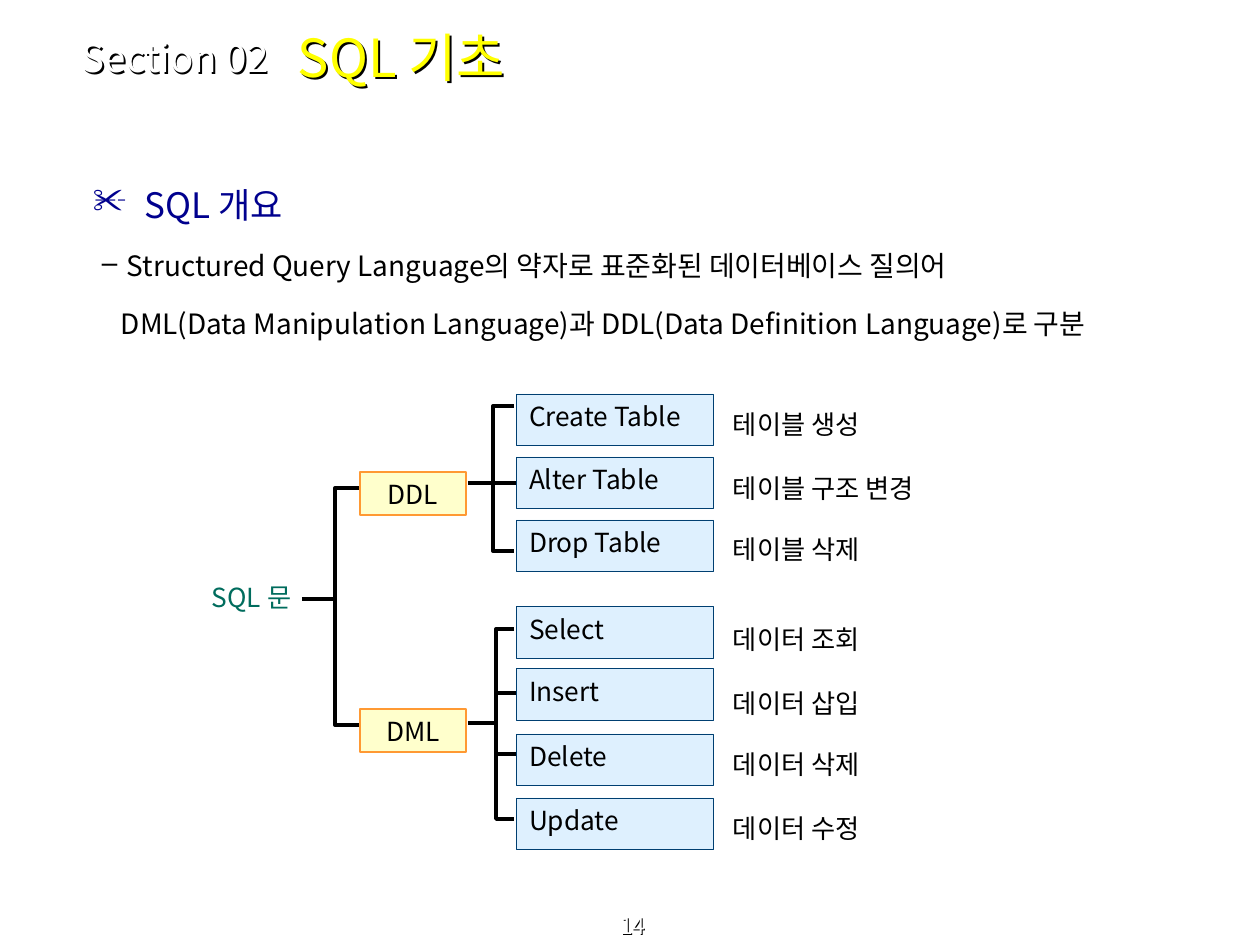
from dataclasses import dataclass
from typing import Optional

from lxml import etree
from pptx import Presentation
from pptx.dml.color import RGBColor
from pptx.enum.shapes import MSO_CONNECTOR, MSO_SHAPE
from pptx.enum.text import MSO_ANCHOR, PP_ALIGN
from pptx.oxml.ns import qn
from pptx.util import Pt

STRAIGHT = MSO_CONNECTOR.STRAIGHT
RECTANGLE = MSO_SHAPE.RECTANGLE
TOP, MIDDLE, BOTTOM = MSO_ANCHOR.TOP, MSO_ANCHOR.MIDDLE, MSO_ANCHOR.BOTTOM
LEFT, CENTER = PP_ALIGN.LEFT, PP_ALIGN.CENTER

FONT = "Noto Sans CJK KR"
WHITE = RGBColor(0xFF, 0xFF, 0xFF)
BLACK = RGBColor(0x00, 0x00, 0x00)
YELLOW = RGBColor(0xFF, 0xFF, 0x00)
NAVY = RGBColor(0x00, 0x00, 0x8E)
GREEN = RGBColor(0x00, 0x6C, 0x5D)
CREAM = RGBColor(0xFF, 0xFF, 0xCC)
ORANGE = RGBColor(0xFF, 0x99, 0x33)
PALE_BLUE = RGBColor(0xDE, 0xF0, 0xFE)
DEEP_BLUE = RGBColor(0x00, 0x3F, 0x71)

EMU_PER_PX = 914400 / 126
SHADOW_EMU_PER_POINT = 700
INSET, INSET_Y = 13, 6
COMMAND_X, COMMAND_W, ROW_H = 516, 198, 52
MEANING_X, MEANING_W = 720, 255
GROUP_X, GROUP_W, GROUP_H = 360, 106, 43


@dataclass(frozen=True)
class Style:
    size: int
    color: RGBColor
    align: PP_ALIGN = LEFT
    anchor: MSO_ANCHOR = TOP
    shadow: bool = False
    right_inset: int = INSET


@dataclass(frozen=True)
class Point:
    text: str
    size: int
    color: RGBColor
    spacing: float
    before: int
    margin: int
    indent: int
    bullet: Optional[str] = None


@dataclass(frozen=True)
class Command:
    name: str
    meaning: str
    top: int
    meaning_top: int


@dataclass(frozen=True)
class Bracket:
    spine: int
    tip: int
    top: int
    bottom: int


POINTS = [
    Point("SQL 개요", 20, NAVY, 2, 5, 67, -52, "✂"),
    Point("Structured Query Language의 약자로 표준화된 데이터베이스 질의어",
          16, BLACK, 1.5, 4, 49, -25, "–"),
    Point("DML(Data Manipulation Language)과 DDL(Data Definition Language)로 구분",
          16, BLACK, 1.5, 4, 43, 0),
]
COMMANDS = [
    Command("Create Table", "테이블 생성", 394, 402),
    Command("Alter Table", "테이블 구조 변경", 457, 466),
    Command("Drop Table", "테이블 삭제", 520, 527),
    Command("Select", "데이터 조회", 607, 617),
    Command("Insert", "데이터 삽입", 669, 681),
    Command("Delete", "데이터 삭제", 734, 742),
    Command("Update", "데이터 수정", 798, 806),
]
GROUPS = [("DDL", 472), ("DML", 709)]
BRACKETS = [
    Bracket(335, 368, 488, 725),
    Bracket(493, 514, 406, 551),
    Bracket(496, 514, 629, 819),
]
PLAIN = Style(15, BLACK, right_inset=0)
GROUP_STYLE = Style(15, BLACK, CENTER)


def px(length: int) -> int:
    return round(length * EMU_PER_PX)


def add_run(paragraph, text: str, size: int, color: RGBColor) -> None:
    run = paragraph.add_run()
    run.text = text
    run.font.size = Pt(size)
    run.font.color.rgb = color
    run.font.name = FONT
    latin = run.font._element.find(qn("a:latin"))
    latin.addnext(etree.Element(qn("a:ea"), typeface=FONT))


def set_frame(frame, anchor: MSO_ANCHOR, right_inset: int) -> None:
    frame.word_wrap = True
    frame.vertical_anchor = anchor
    frame.margin_left, frame.margin_right = px(INSET), px(right_inset)
    frame.margin_top = frame.margin_bottom = px(INSET_Y)


def write(frame, text: str, style: Style) -> None:
    set_frame(frame, style.anchor, style.right_inset)
    paragraph = frame.paragraphs[0]
    paragraph.alignment = style.align
    add_run(paragraph, text, style.size, style.color)


def add_label(slide, text: str, x: int, y: int, w: int, h: int, style: Style) -> None:
    label = slide.shapes.add_textbox(px(x), px(y), px(w), px(h))
    write(label.text_frame, text, style)
    if style.shadow:
        effects = etree.SubElement(label._element.spPr, qn("a:effectLst"))
        distance = str(style.size * SHADOW_EMU_PER_POINT)
        outer = etree.SubElement(effects, qn("a:outerShdw"), dist=distance, dir="2700000")
        etree.SubElement(outer, qn("a:srgbClr"), val=str(BLACK))


def add_box(slide, text: str, x: int, y: int, w: int, h: int,
            fill: RGBColor, line: RGBColor, width: float, style: Style):
    box = slide.shapes.add_shape(RECTANGLE, px(x), px(y), px(w), px(h))
    box.shadow.inherit = False
    box.fill.solid()
    box.fill.fore_color.rgb = fill
    box.line.color.rgb = line
    box.line.width = Pt(width)
    write(box.text_frame, text, style)
    return box


def add_points(slide, points: list[Point]) -> None:
    body = slide.shapes.add_textbox(px(65), px(135), px(1134), px(624))
    frame = body.text_frame
    set_frame(frame, TOP, INSET)
    for index, point in enumerate(points):
        paragraph = frame.add_paragraph() if index else frame.paragraphs[0]
        paragraph.line_spacing = point.spacing
        paragraph.space_before = Pt(point.before)
        properties = paragraph._p.get_or_add_pPr()
        properties.set("marL", str(px(point.margin)))
        properties.set("indent", str(px(point.indent)))
        if point.bullet:
            color = etree.SubElement(properties, qn("a:buClr"))
            etree.SubElement(color, qn("a:srgbClr"), val=str(point.color))
            etree.SubElement(properties, qn("a:buChar"), char=point.bullet)
        add_run(paragraph, point.text, point.size, point.color)


def add_bracket(slide, bracket: Bracket) -> None:
    builder = slide.shapes.build_freeform(bracket.tip, bracket.top, scale=EMU_PER_PX)
    builder.add_line_segments([
        (bracket.spine, bracket.top),
        (bracket.spine, bracket.bottom),
        (bracket.tip, bracket.bottom),
    ], close=False)
    outline = builder.convert_to_shape()
    outline.shadow.inherit = False
    outline.fill.background()
    outline.line.color.rgb = BLACK
    outline.line.width = Pt(2.25)


def add_branch(slide, start: int, end: int, y: int, target=None) -> None:
    branch = slide.shapes.add_connector(STRAIGHT, px(start), px(y), px(end), px(y))
    branch.line.color.rgb = BLACK
    branch.line.width = Pt(2.25)
    etree.SubElement(branch._element.spPr, qn("a:effectLst"))
    if target is not None:
        branch.end_connect(target, 1)


def main() -> None:
    deck = Presentation()
    deck.slide_width, deck.slide_height = px(1260), px(945)
    slide = deck.slides.add_slide(deck.slide_layouts[6])

    add_label(slide, "14", 6, 917, 1254, 28, Style(13, WHITE, CENTER, BOTTOM, True))
    add_points(slide, POINTS)
    add_label(slide, "SQL 기초", 285, 14, 806, 86, Style(30, YELLOW, LEFT, MIDDLE, True))
    add_label(slide, "Section 02", 69, 34, 243, 47, Style(22, WHITE, LEFT, MIDDLE, True))
    add_label(slide, "SQL 문", 177, 575, 149, 47, Style(15, GREEN, CENTER))

    for bracket in BRACKETS:
        add_bracket(slide, bracket)
    for name, top in GROUPS:
        add_box(slide, name, GROUP_X, top, GROUP_W, GROUP_H, CREAM, ORANGE, 0.75, GROUP_STYLE)
    boxes = {}
    for command in COMMANDS:
        boxes[command.name] = add_box(slide, command.name, COMMAND_X, command.top, COMMAND_W,
                                      ROW_H, PALE_BLUE, DEEP_BLUE, 0.5, PLAIN)
        add_label(slide, command.meaning, MEANING_X, command.meaning_top, MEANING_W, ROW_H, PLAIN)

    add_branch(slide, 302, 335, 599)
    add_branch(slide, 468, COMMAND_X, 483, boxes["Alter Table"])
    add_branch(slide, 468, 496, 723)
    for y in (693, 754):
        add_branch(slide, 496, COMMAND_X, y)

    deck.save("out.pptx")


if __name__ == "__main__":
    main()
